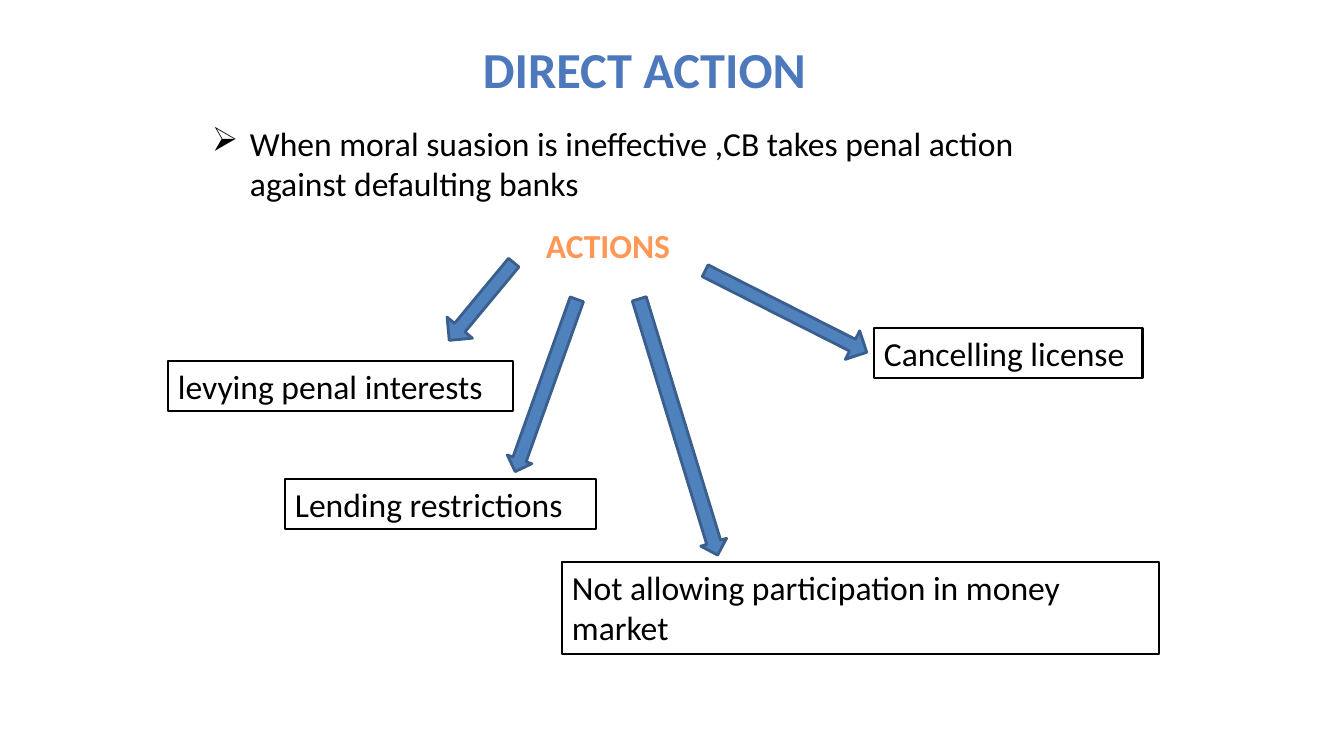
from lxml import etree
from pptx import Presentation
from pptx.dml.color import RGBColor
from pptx.enum.shapes import MSO_SHAPE
from pptx.enum.text import MSO_ANCHOR, MSO_AUTO_SIZE, PP_ALIGN
from pptx.oxml.ns import qn
from pptx.util import Pt

RECTANGLE, DOWN_ARROW = MSO_SHAPE.RECTANGLE, MSO_SHAPE.DOWN_ARROW
LEFT, CENTER = PP_ALIGN.LEFT, PP_ALIGN.CENTER
TOP = MSO_ANCHOR.TOP
GROW = MSO_AUTO_SIZE.SHAPE_TO_FIT_TEXT

BLACK = RGBColor(0x00, 0x00, 0x00)
WHITE = RGBColor(0xFF, 0xFF, 0xFF)
TITLE_BLUE = RGBColor(0x4D, 0x79, 0xBC)
ORANGE = RGBColor(0xFF, 0x98, 0x56)
ARROW_FILL = RGBColor(0x4F, 0x81, 0xBD)
ARROW_LINE = RGBColor(0x3A, 0x5F, 0x8C)

SLIDE_SIZE = (1344, 756)
EMU_PER_PX = 12192000 / 1344
BULLET_INDENT = 38

# Areas are left, top, width, height in px
TITLE = ("DIRECT ACTION", (471, 33, 347, 72))
STATEMENT = (
    "When moral suasion is ineffective ,CB takes penal action against defaulting banks",
    (202, 118, 857, 92),
)
HEADING = ("ACTIONS", (536, 220, 159, 50))
ACTIONS = [
    ("levying penal interests", (168, 361, 345, 50)),
    ("Cancelling license", (874, 328, 269, 50)),
    ("Lending restrictions", (285, 479, 311, 50)),
    ("Not allowing participation in money market", (562, 562, 597, 92)),
]
# Area, rotation in degrees, shaft width as a share of the arrow's width
ARROWS = [
    ((465, 251, 33, 101), 39.7, 0.41),
    ((533, 294, 26, 183), 19.7, 0.54),
    ((665, 293, 27, 268), 343, 0.54),
    ((770, 221, 32, 181), 296.8, 0.41),
]


def emu(px):
    return round(px * EMU_PER_PX)


def write(shape, text, size=24, color=BLACK, bold=False, align=LEFT, wrap=True):
    frame = shape.text_frame
    frame.word_wrap = wrap
    frame.auto_size = GROW
    frame.vertical_anchor = TOP
    paragraph = frame.paragraphs[0]
    paragraph.alignment = align
    run = paragraph.add_run()
    run.text = text
    run.font.name = "Calibri"
    run.font.size = Pt(size)
    run.font.bold = bold
    run.font.color.rgb = color
    return paragraph


def add_label(slide, label, **text_format):
    text, area = label
    return write(slide.shapes.add_textbox(*map(emu, area)), text, **text_format)


def add_filled(slide, preset, area, fill, line):
    shape = slide.shapes.add_shape(preset, *map(emu, area))
    shape.shadow.inherit = False
    shape.fill.solid()
    shape.fill.fore_color.rgb = fill
    shape.line.color.rgb = line
    shape.line.width = Pt(2)
    return shape


def add_bullet(paragraph):
    properties = paragraph._p.get_or_add_pPr()
    properties.set("marL", str(emu(BULLET_INDENT)))
    properties.set("indent", str(-emu(BULLET_INDENT)))
    etree.SubElement(properties, qn("a:buChar"), char="➢")


def main():
    deck = Presentation()
    deck.slide_width, deck.slide_height = map(emu, SLIDE_SIZE)
    slide = deck.slides.add_slide(deck.slide_layouts[6])

    add_label(slide, TITLE, size=36, color=TITLE_BLUE, bold=True, align=CENTER, wrap=False)
    add_bullet(add_label(slide, STATEMENT))
    add_label(slide, HEADING, color=ORANGE, bold=True)

    for action, area in ACTIONS:
        write(add_filled(slide, RECTANGLE, area, WHITE, BLACK), action)

    for area, rotation, shaft in ARROWS:
        arrow = add_filled(slide, DOWN_ARROW, area, ARROW_FILL, ARROW_LINE)
        arrow.rotation = rotation
        arrow.adjustments[0] = shaft

    deck.save("out.pptx")


if __name__ == "__main__":
    main()
